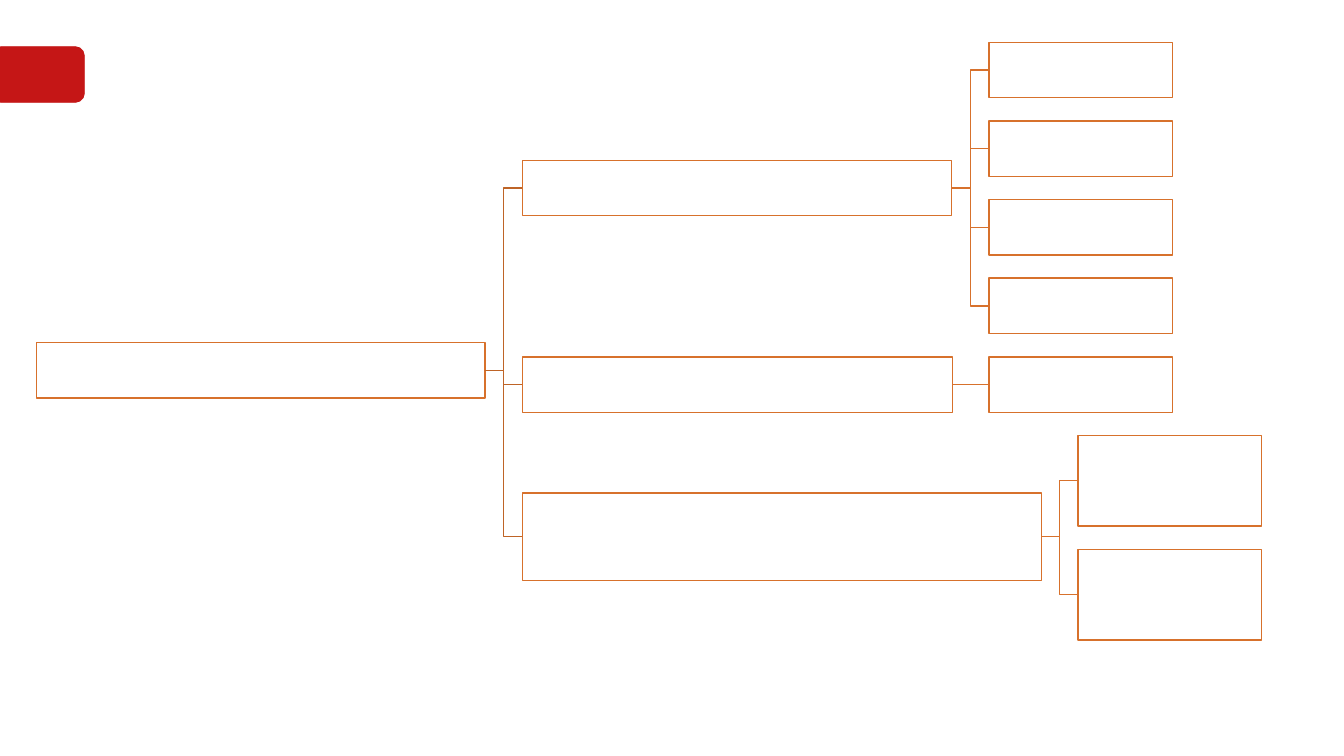
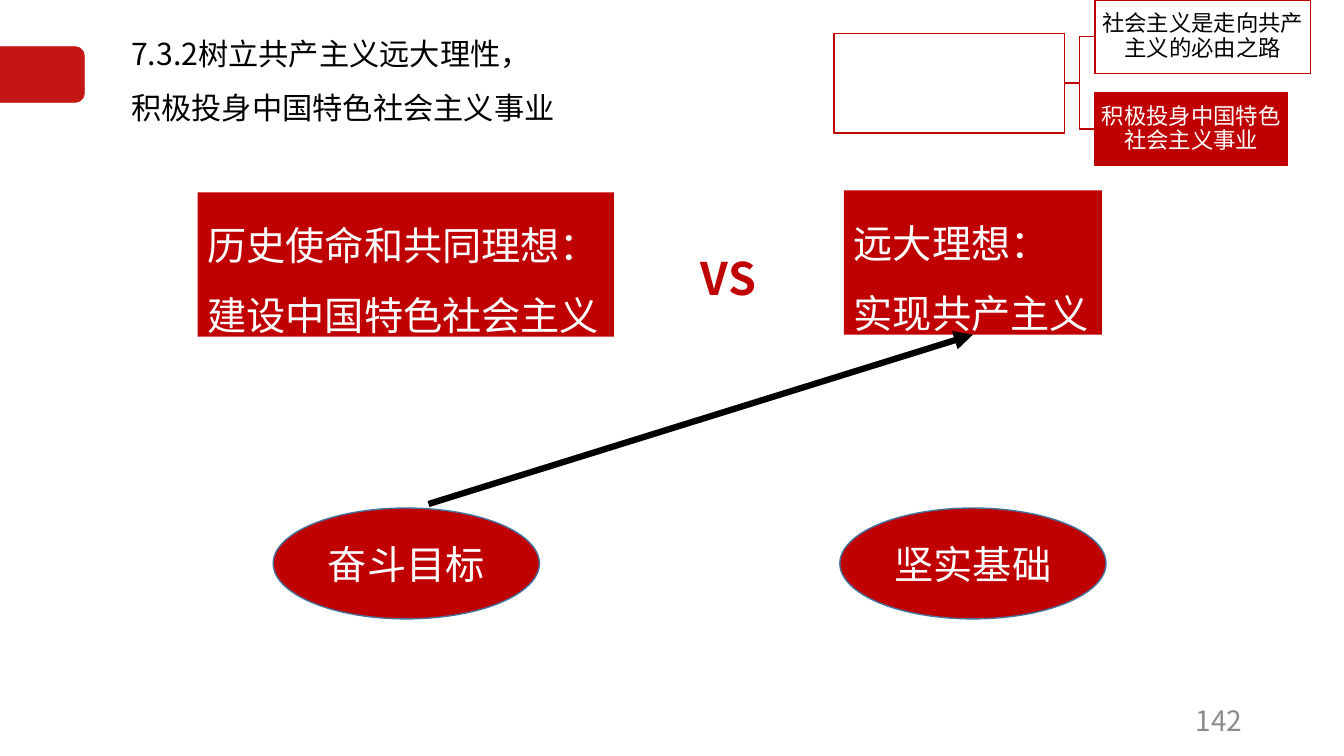
from dataclasses import dataclass

from pptx import Presentation
from pptx.dml.color import RGBColor
from pptx.enum.shapes import MSO_CONNECTOR, MSO_SHAPE
from pptx.enum.text import MSO_ANCHOR, MSO_AUTO_SIZE, PP_ALIGN
from pptx.oxml.ns import qn
from pptx.util import Inches, Pt
from lxml import etree

RECT, ROUND, OVAL = MSO_SHAPE.RECTANGLE, MSO_SHAPE.ROUNDED_RECTANGLE, MSO_SHAPE.OVAL
ELBOW, STRAIGHT = MSO_CONNECTOR.ELBOW, MSO_CONNECTOR.STRAIGHT
LEFT, CENTER, RIGHT = PP_ALIGN.LEFT, PP_ALIGN.CENTER, PP_ALIGN.RIGHT
TOP, MIDDLE = MSO_ANCHOR.TOP, MSO_ANCHOR.MIDDLE
FIXED, GROW = MSO_AUTO_SIZE.NONE, MSO_AUTO_SIZE.SHAPE_TO_FIT_TEXT
SITE_LEFT, SITE_BOTTOM, SITE_RIGHT = 1, 2, 3


@dataclass(frozen=True)
class Theme:
    font: str = "Noto Sans CJK SC"
    red: str = "C00000"
    orange: str = "D7712C"
    brown: str = "BE6427"
    blue: str = "43739E"
    white: str = "FFFFFF"
    black: str = "000000"
    gray: str = "8C8C8C"
    title: float = 21.6
    large: float = 28
    versus: float = 32
    number: float = 20
    small: float = 16


T = Theme()


def rgb(value):
    return RGBColor.from_string(value)


def place(sp, at):
    for name, value in zip(("left", "top", "width", "height"), at):
        setattr(sp, name, Inches(value))


def write(sp, lines, size, color, align=LEFT, spacing=None, bold=False,
          inset=None, **frame):
    """Fill a shape with paragraphs; frame holds text frame settings."""
    tf = sp.text_frame
    settings = {"word_wrap": True, "auto_size": FIXED, "vertical_anchor": MIDDLE}
    settings.update(frame)
    if inset is not None:
        for side in ("left", "top", "right", "bottom"):
            settings["margin_" + side] = Inches(inset)
    for name, value in settings.items():
        setattr(tf, name, value)
    tf.text = "\n".join(lines)
    for p in tf.paragraphs:
        p.alignment = align
        if spacing:
            p.line_spacing = spacing
        for r in p.runs:
            for name, value in {"size": Pt(size), "name": T.font, "bold": bold}.items():
                setattr(r.font, name, value)
            r.font.color.rgb = rgb(color)
            ea = etree.SubElement(r.font._element, qn("a:ea"))
            ea.set("typeface", T.font)


def add_box(slide, at, fill, line=None, kind=RECT):
    sp = slide.shapes.add_shape(kind, *map(Inches, at))
    sp.shadow.inherit = False
    sp.fill.solid()
    sp.fill.fore_color.rgb = rgb(fill)
    if line:
        sp.line.color.rgb = rgb(line)
        sp.line.width = Pt(1)
    else:
        sp.line.fill.background()
    return sp


def add_text(slide, at, lines, size, color, **style):
    sp = slide.shapes.add_textbox(*map(Inches, at))
    write(sp, lines, size, color, **style)


def add_line(slide, kind, color, width, start=(0, 0), end=(0, 0)):
    line = slide.shapes.add_connector(kind, *map(Inches, start + end))
    line.line.color.rgb = rgb(color)
    line.line.width = Pt(width)
    etree.SubElement(line.element.spPr, qn("a:effectLst"))
    return line


def join(slide, parent, child, color):
    """Run a bracket from the parent's right side to the child's left side."""
    level = abs(parent.top + parent.height / 2 - child.top - child.height / 2) < Inches(0.01)
    line = add_line(slide, STRAIGHT if level else ELBOW, color, 1)
    line.begin_connect(parent, SITE_RIGHT)
    line.end_connect(child, SITE_LEFT)


def add_tabs(prs, slide):
    """Put the layered translucent tab on the master, so every slide shows it."""
    for _ in range(2):
        tab = add_box(slide, (-0.08, 0.46, 0.92, 0.56), T.red, kind=ROUND)
        color = tab.element.spPr.find(qn("a:solidFill"))[0]
        etree.SubElement(color, qn("a:alpha")).set("val", "70000")
        prs.slide_master.shapes.element.append(tab.element)


def build_outline(slide):
    # Root, branches and leaves of the empty outline
    leaf_x, leaf_w, leaf_h, step = 9.81, 1.82, 0.55, 0.78
    leaves = [(leaf_x, 0.42 + step * i, leaf_w, leaf_h) for i in range(5)]
    branches = [
        ((5.18, 1.59, 4.26, leaf_h), leaves[:4]),
        ((5.18, 3.54, 4.27, leaf_h), leaves[4:]),
        ((5.18, 4.89, 5.15, 0.87),
         [(10.69, 4.32 + 1.13 * i, leaf_w, 0.9) for i in range(2)]),
    ]
    root = add_box(slide, (0.36, 3.4, 4.45, leaf_h), T.white, T.orange)
    for at, children in branches:
        branch = add_box(slide, at, T.white, T.orange)
        join(slide, root, branch, T.brown)
        for child in children:
            join(slide, branch, add_box(slide, child, T.white, T.orange), T.orange)


def build_comparison(slide):
    # Title and page number
    title = slide.shapes.title
    place(title, (1.2, 0.18, 6.03, 1.05))
    write(title, ["7.3.2树立共产主义远大理性，\v积极投身中国特色社会主义事业"],
          T.title, T.black, spacing=1.5)
    add_text(slide, (9.42, 6.95, 3, 0.4), ["142"], T.number, T.gray, align=RIGHT)

    # The two ideals
    ideals = []
    for at, lines in (
        ((1.96, 1.91, 4.13, 1.43), ["历史使命和共同理想：", "建设中国特色社会主义"]),
        ((8.37, 1.89, 2.56, 1.43), ["远大理想：", "实现共产主义"]),
    ):
        sp = add_box(slide, at, T.red)
        write(sp, lines, T.large, T.white, spacing=1.5, word_wrap=False,
              auto_size=GROW, vertical_anchor=TOP)
        ideals.append(sp)
    add_text(slide, (6.72, 2.17, 1.01, 0.91), ["VS"], T.versus, T.red,
             align=CENTER, spacing=1.5, bold=True, auto_size=GROW)

    # Goal and foundation
    for x, label in ((2.71, "奋斗目标"), (8.33, "坚实基础")):
        sp = add_box(slide, (x, 5.04, 2.64, 1.1), T.red, T.blue, OVAL)
        write(sp, [label], T.large, T.white, align=CENTER)
    arrow = add_line(slide, STRAIGHT, T.black, 4.5, (4.25, 5), (9.65, 3.33))
    arrow.end_connect(ideals[1], SITE_BOTTOM)
    etree.SubElement(arrow.line._get_or_add_ln(), qn("a:tailEnd")).set("type", "triangle")

    # Section map in the corner
    root = add_box(slide, (8.27, 0.33, 2.29, 0.99), T.white, T.red)
    for at, label, fill, color in (
        ((10.86, 0, 2.14, 0.73), "社会主义是走向共产主义的必由之路", T.white, T.black),
        ((10.86, 0.92, 1.91, 0.72), "积极投身中国特色社会主义事业", T.red, T.white),
    ):
        sp = add_box(slide, at, fill, T.red)
        write(sp, [label], T.small, color, align=CENTER, spacing=0.9, inset=0.01)
        join(slide, root, sp, T.red)


def main():
    prs = Presentation()
    prs.slide_width, prs.slide_height = Inches(13.33), Inches(7.5)
    title_only, blank = prs.slide_layouts[5], prs.slide_layouts[6]
    outline = prs.slides.add_slide(blank)
    add_tabs(prs, outline)
    build_outline(outline)
    build_comparison(prs.slides.add_slide(title_only))
    prs.save("out.pptx")


if __name__ == "__main__":
    main()
